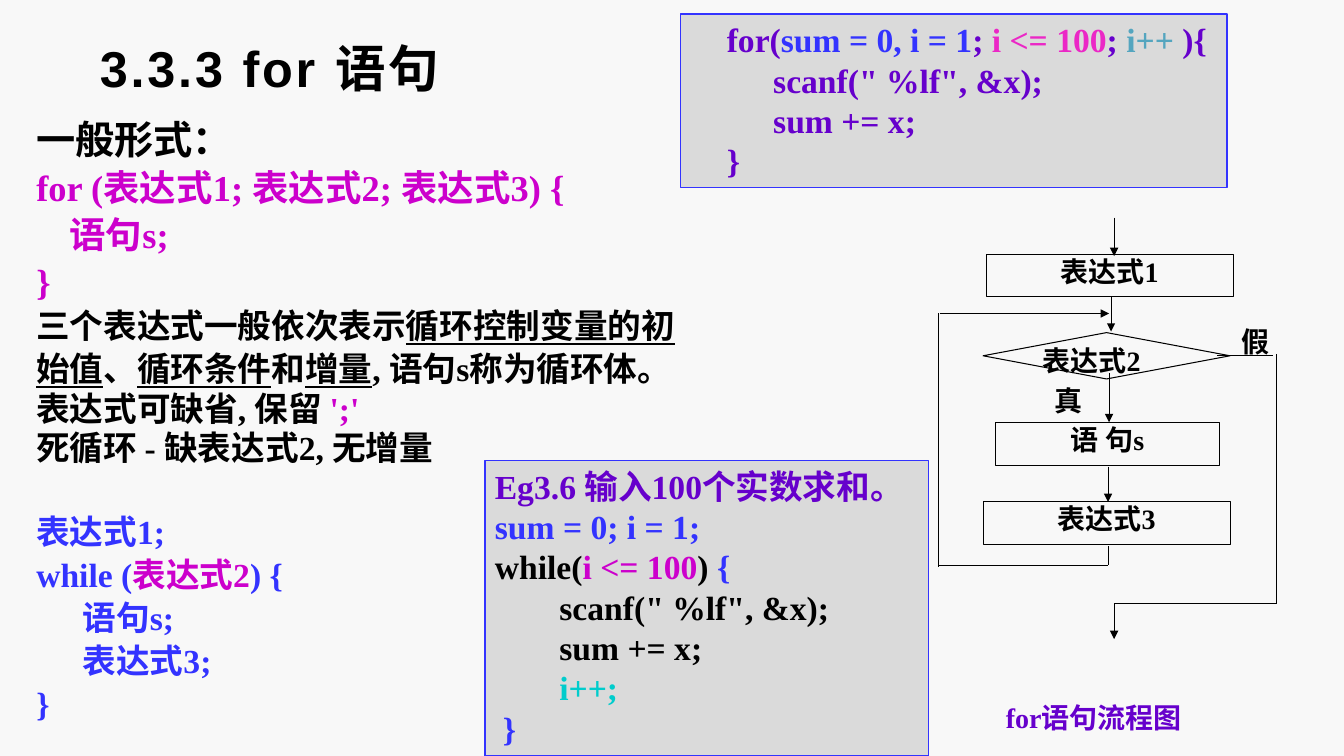
from lxml import etree
from pptx import Presentation, util as u
from pptx.dml.color import RGBColor
from pptx.enum import shapes, text
from pptx.oxml.ns import qn

COLORS = {
    "ground": "F8F8F8", "panel": "DADADA", "black": "000000", "blue": "3333FF",
    "magenta": "CC00CC", "purple": "6600CC", "pink": "EB27C6",
    "steel": "54A5BF", "cyan": "00CCCC",
}
SERIF = "Times New Roman"


def cells(count):
    """Length of a number of grid cells, a tenth of an inch each."""
    return u.Inches(count / 10)


def rgb(name):
    return RGBColor.from_string(COLORS[name])


def place(shape, box):
    shape.left, shape.top, shape.width, shape.height = map(cells, box)


def set_frame(frame, margins=(1, 0.5, 1, 0.5), wrap=True, anchor=text.MSO_ANCHOR.TOP):
    frame.auto_size = text.MSO_AUTO_SIZE.NONE
    frame.word_wrap = wrap
    frame.vertical_anchor = anchor
    (frame.margin_left, frame.margin_top,
     frame.margin_right, frame.margin_bottom) = map(cells, margins)


def add_span(para, words, color, size, font=SERIF, underline=None):
    span = para.add_run()
    span.text = words
    span.font.name = font
    span.font.size = u.Pt(size)
    span.font.bold = True
    span.font.underline = underline
    span.font.color.rgb = rgb(color)
    return span


def indent(para, count):
    """Plain paragraph, without bullet, moved in by some cells."""
    props = para._p.get_or_add_pPr()
    props.set("marL", str(cells(count)))
    props.set("indent", "0")
    etree.SubElement(props, qn("a:buNone"))


def next_para(frame, index):
    return frame.add_paragraph() if index else frame.paragraphs[0]


def fill_title(page, box):
    title = page.shapes.title
    place(title, box)
    set_frame(title.text_frame, anchor=text.MSO_ANCHOR.MIDDLE)
    para = title.text_frame.paragraphs[0]
    para.alignment = text.PP_ALIGN.LEFT
    span = add_span(para, "3.3.3 for 语句", "black", 36, "Arial")
    span.font._element.set("spc", "200")


def fill_body(page, box):
    body = page.placeholders[1]
    place(body, box)
    set_frame(body.text_frame)
    # size, line spacing, indent, space before, spans
    lines = [
        (28, 0.9, 0, 5.6, [("一般形式：", "black")]),
        (26, 0.9, 0, 5.2, [("for (表达式1; 表达式2; 表达式3) {", "magenta")]),
        (26, 0.9, 3.3, 5.2, [("语句s;", "magenta")]),
        (26, 0.9, 0, 5.2, [("}", "magenta")]),
        (24, 0.9, 0, 4.8, [("三个表达式一般依次表示", "black"),
                           ("循环控制变量的初", "black", True)]),
        (24, 0.9, 0, 4.8, [("始值", "black", True), ("、", "black"),
                           ("循环条件", "black", True), ("和", "black"),
                           ("增量", "black", True), (", 语句s称为循环体。", "black")]),
        (24, 0.8, 0, 4.8, [("表达式可缺省, 保留 ", "black"), ("';'", "magenta")]),
        (24, 0.8, 0, 4.8, [("死循环 - 缺表达式2, 无增量", "black")]),
        (24, 0.9, 0, 35, [("表达式1;", "blue")]),
        (24, 0.9, 0, 4.8, [("while (", "blue"), ("表达式2", "magenta"), (") {", "blue")]),
        (24, 0.9, 4.6, 4.8, [("语句s;", "blue")]),
        (24, 0.9, 4.6, 4.8, [("表达式3;", "blue")]),
        (24, 0.9, 0, 4.8, [("}", "blue")]),
    ]
    for index, (size, spacing, inset, before, spans) in enumerate(lines):
        para = next_para(body.text_frame, index)
        para.alignment = text.PP_ALIGN.LEFT
        para.line_spacing = spacing
        para.space_before = u.Pt(before)
        indent(para, inset)
        for words, color, *underline in spans:
            add_span(para, words, color, size, underline=bool(underline))


def add_code_panel(page, box, lines):
    panel = page.shapes.add_shape(shapes.MSO_SHAPE.RECTANGLE, *map(cells, box))
    panel.shadow.inherit = False
    panel.fill.solid()
    panel.fill.fore_color.rgb = rgb("panel")
    panel.line.color.rgb = rgb("blue")
    panel.line.width = u.Pt(1)
    set_frame(panel.text_frame, wrap=False)
    for index, (inset, spans) in enumerate(lines):
        para = next_para(panel.text_frame, index)
        para.alignment = text.PP_ALIGN.LEFT
        indent(para, inset)
        for words, color in spans:
            add_span(para, words, color, 24)


def add_line(page, ends, arrow=False):
    line = page.shapes.add_connector(shapes.MSO_CONNECTOR.STRAIGHT, *map(cells, ends))
    line.line.color.rgb = rgb("black")
    line.line.width = u.Pt(0.75)
    if arrow:
        etree.SubElement(line.line._get_or_add_ln(), qn("a:tailEnd"), type="triangle")
    etree.SubElement(line._element.spPr, qn("a:effectLst"))


def add_node(page, kind, box, words=""):
    node = page.shapes.add_shape(kind, *map(cells, box))
    node.shadow.inherit = False
    node.fill.background()
    node.line.color.rgb = rgb("black")
    node.line.width = u.Pt(0.75)
    if words:
        write_label(node, words)


def write_label(shape, words, color="black", align=text.PP_ALIGN.CENTER):
    set_frame(shape.text_frame, (0, 0, 0, 0))
    para = shape.text_frame.paragraphs[0]
    para.alignment = align
    add_span(para, words, color, 20)
    return para


def add_flowchart(page, left, top):
    """Loop chart; every part is given in cells from its top left corner."""
    def at(x, y, *size):
        return (left + x, top + y, *size)

    lines = [
        (27.6, 13.7, 33.2, 13.7), (33.5, 13.5, 33.5, 38.3), (33.5, 38.3, 17.4, 38.3),
        (0, 9.5, 0, 34.7), (0, 34.5, 16.8, 34.5), (16.8, 32.6, 16.8, 34.5),
    ]
    arrows = [
        (17.4, 0, 17.4, 3.8), (17.1, 7.8, 17.1, 11.3), (16.9, 15.4, 16.9, 20.3),
        (16.8, 24.7, 16.8, 28.2), (0.1, 9.5, 16.9, 9.5), (17.4, 38.3, 17.4, 41.8),
    ]
    for ends in lines + arrows:
        add_line(page, at(*ends[:2]) + at(*ends[2:]), ends in arrows)

    steps = [
        (4.7, 3.6, 24.5, 4.2, "表达式1"),
        (5.6, 20.3, 22.3, 4.3, "语 句s"),
        (4.4, 28.2, 24.5, 4.2, "表达式3"),
    ]
    for *box, words in steps:
        add_node(page, shapes.MSO_SHAPE.RECTANGLE, at(*box), words)
    add_node(page, shapes.MSO_SHAPE.FLOWCHART_DECISION, at(4.4, 11.4, 24.5, 4.6))

    labels = [
        (10.3, 12.5, 13.3, 2.1, "表达式2"),
        (30, 10.6, 3.3, 2.8, "假"),
        (11.5, 16.4, 3.3, 2.8, "真"),
    ]
    for *box, words in labels:
        label = page.shapes.add_textbox(*map(cells, at(*box)))
        write_label(label, words, align=text.PP_ALIGN.LEFT)
    caption = page.shapes.add_textbox(*map(cells, at(-12.4, 48.3, 55.6, 3.9)))
    write_label(caption, "for语句流程图", "purple").line_spacing = 0.88


def main():
    deck = Presentation()
    deck.slide_width, deck.slide_height = u.Inches(13.33), u.Inches(7.5)
    page = deck.slides.add_slide(deck.slide_layouts[1])
    page.background.fill.solid()
    page.background.fill.fore_color.rgb = rgb("ground")
    fill_body(page, (2.6, 11.5, 117.5, 58))
    add_flowchart(page, 93.1, 21.6)
    fill_title(page, (8.9, 3.3, 113.3, 6.7))
    add_code_panel(page, (48.1, 45.7, 44, 29.3), [
        (0, [("Eg3.6 输入100个实数求和。", "purple")]),
        (0, [("sum = 0; i = 1;", "blue")]),
        (0, [("while(", "black"), ("i <= 100", "magenta"), (") ", "black"), ("{", "blue")]),
        (6.4, [('scanf(" %lf", &x);', "black")]),
        (6.4, [("sum += x;", "black")]),
        (6.4, [("i++;", "cyan")]),
        (0.8, [("}", "blue")]),
    ])
    add_code_panel(page, (67.5, 1.4, 54.2, 17.2), [
        (3.6, [("for(", "purple"), ("sum = 0, i = 1", "blue"), ("; ", "purple"),
               ("i <= 100", "pink"), ("; ", "purple"), ("i++ ", "steel"), ("){", "purple")]),
        (8.2, [('scanf(" %lf", &x);', "purple")]),
        (8.2, [("sum += x;", "purple")]),
        (3.6, [("}", "purple")]),
    ])
    deck.save("out.pptx")


if __name__ == "__main__":
    main()
